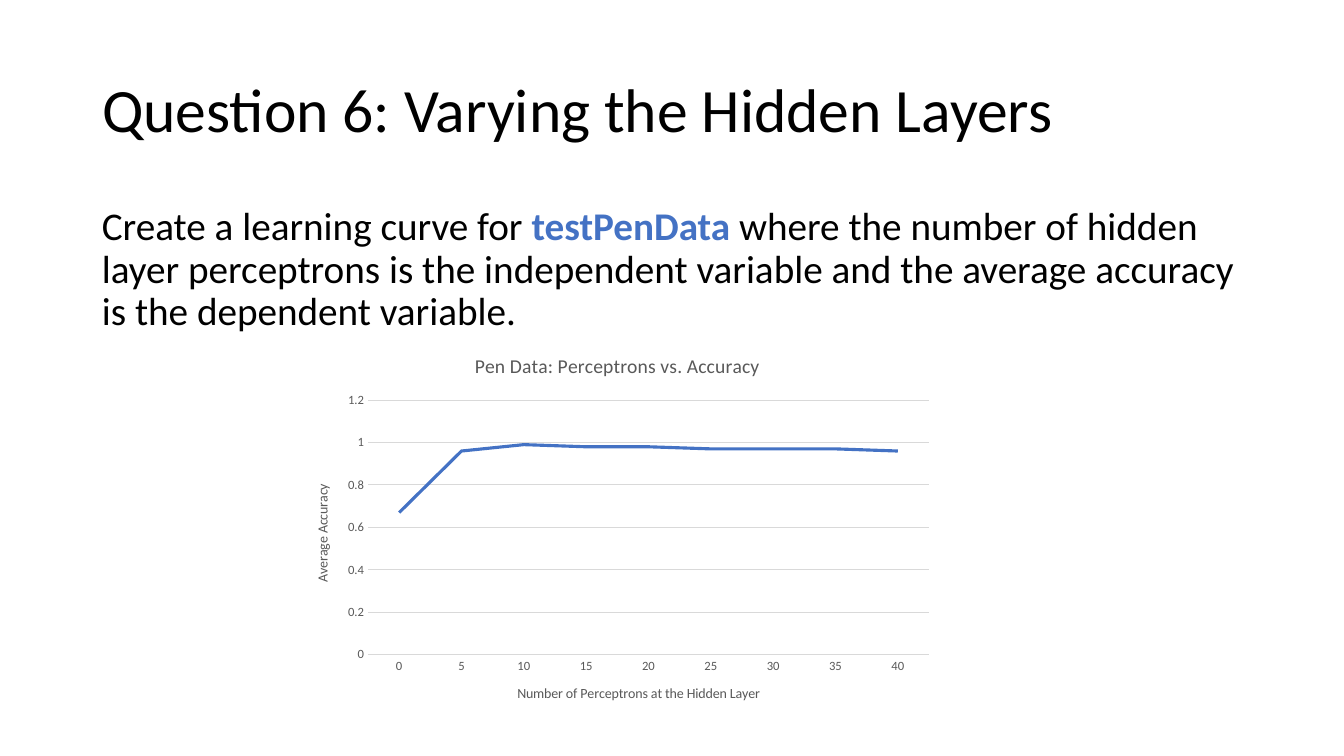
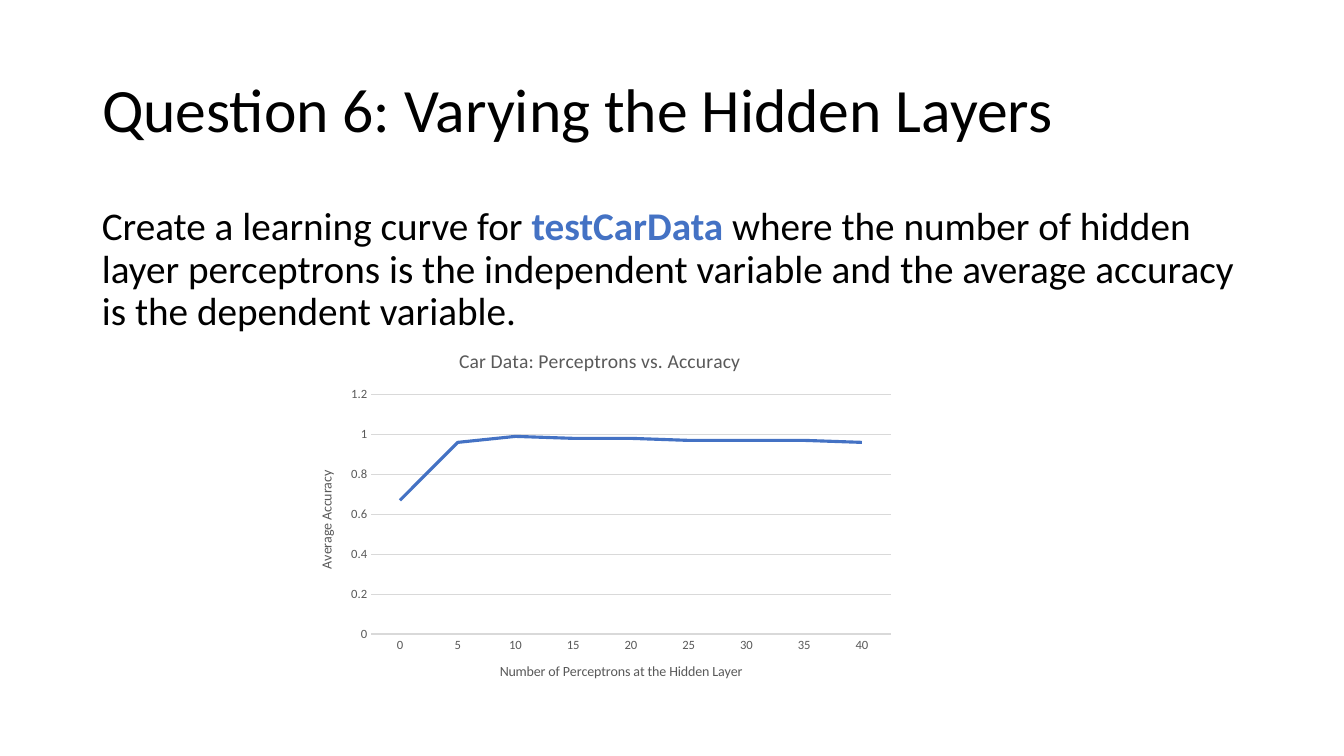
from pptx import Presentation
from pptx import util as u
from pptx.chart.data import CategoryChartData
from pptx.dml.color import RGBColor
from pptx.enum import chart as ch, text

PX = u.Inches(1) / 100.8
FONT = "Calibri"
COLORS = {"ink": "000000", "accent": "4472C4", "label": "595959", "grid": "D9D9D9"}

HEADING = "Question 6: Varying the Hidden Layers"
TITLE_BOX = (92, 40, 1160, 146)
TASK_BOX = (92, 202, 1160, 480)
PERCEPTRONS = [str(n) for n in range(0, 41, 5)]
ACCURACY = (0.67, 0.96, 0.99, 0.98, 0.98, 0.97, 0.97, 0.97, 0.96)

# Subject of each slide and the box of its chart
SUBJECTS = [
    ("Pen", (293, 336, 649, 386)),
    ("Car", (297, 331, 606, 370)),
]


def emu(box):
    return [u.Emu(round(length * PX)) for length in box]


def rgb(name):
    return RGBColor.from_string(COLORS[name])


def style(font, size, color, bold=False):
    font.name, font.size, font.bold = FONT, u.Pt(size), bold
    font.color.rgb = rgb(color)


def add_run(paragraph, words, size, color, bold=False):
    run = paragraph.add_run()
    run.text = words
    style(run.font, size, color, bold)


def style_line(line, color, width):
    line.color.rgb = rgb(color)
    line.width = u.Pt(width)


def place_title(slide, box):
    title = slide.shapes.title
    title.left, title.top, title.width, title.height = emu(box)
    frame = title.text_frame
    frame.auto_size = text.MSO_AUTO_SIZE.NONE
    frame.vertical_anchor = text.MSO_ANCHOR.MIDDLE
    heading = frame.paragraphs[0]
    heading.alignment = text.PP_ALIGN.LEFT
    heading.line_spacing = 0.9
    add_run(heading, HEADING, 44, "ink")


def add_task(slide, box, subject):
    frame = slide.shapes.add_textbox(*emu(box)).text_frame
    frame.word_wrap = True
    task = frame.paragraphs[0]
    task.line_spacing = 0.9
    task.space_before = u.Pt(10)
    add_run(task, "Create a learning curve for ", 28, "ink")
    add_run(task, f"test{subject}Data ", 28, "accent", True)
    add_run(task, "where the number of hidden layer perceptrons is the independent "
                  "variable and the average accuracy is the dependent variable. ", 28, "ink")


def label_axis(axis, caption):
    add_run(axis.axis_title.text_frame.paragraphs[0], caption, 10, "label")
    style(axis.tick_labels.font, 9, "label")
    axis.major_tick_mark = axis.minor_tick_mark = ch.XL_TICK_MARK.NONE


def add_learning_curve(slide, box, subject):
    data = CategoryChartData()
    data.categories = PERCEPTRONS
    data.add_series("Series 1", ACCURACY)
    chart = slide.shapes.add_chart(ch.XL_CHART_TYPE.LINE, *emu(box), data).chart
    style(chart.font, 10, "ink")
    chart.has_legend = False
    add_run(chart.chart_title.text_frame.paragraphs[0],
            f"{subject} Data: Perceptrons vs. Accuracy", 14, "label")
    chart.chart_title.include_in_layout = False

    # Axes
    perceptrons, accuracy = chart.category_axis, chart.value_axis
    label_axis(perceptrons, "Number of Perceptrons at the Hidden Layer")
    style_line(perceptrons.format.line, "grid", 0.75)
    label_axis(accuracy, "Average Accuracy")
    turned = accuracy.axis_title.text_frame._txBody.bodyPr
    turned.set("rot", "-5400000")
    turned.set("vert", "horz")
    accuracy.minimum_scale, accuracy.maximum_scale, accuracy.major_unit = 0, 1.2, 0.2
    accuracy.tick_labels.number_format = "General"
    accuracy.tick_labels.number_format_is_linked = False
    accuracy.format.line.fill.background()
    style_line(accuracy.major_gridlines.format.line, "grid", 0.75)

    # Curve
    plot = chart.plots[0]
    plot.vary_by_categories = False
    curve = plot.series[0]
    curve.smooth = False
    curve.marker.style = ch.XL_MARKER_STYLE.NONE
    style_line(curve.format.line, "accent", 2.25)


def add_question(deck, subject, chart_box):
    slide = deck.slides.add_slide(deck.slide_layouts.get_by_name("Title Only"))
    place_title(slide, TITLE_BOX)
    add_task(slide, TASK_BOX, subject)
    add_learning_curve(slide, chart_box, subject)


deck = Presentation()
deck.slide_width, deck.slide_height = emu((1344, 756))
for subject, chart_box in SUBJECTS:
    add_question(deck, subject, chart_box)
deck.save("out.pptx")
